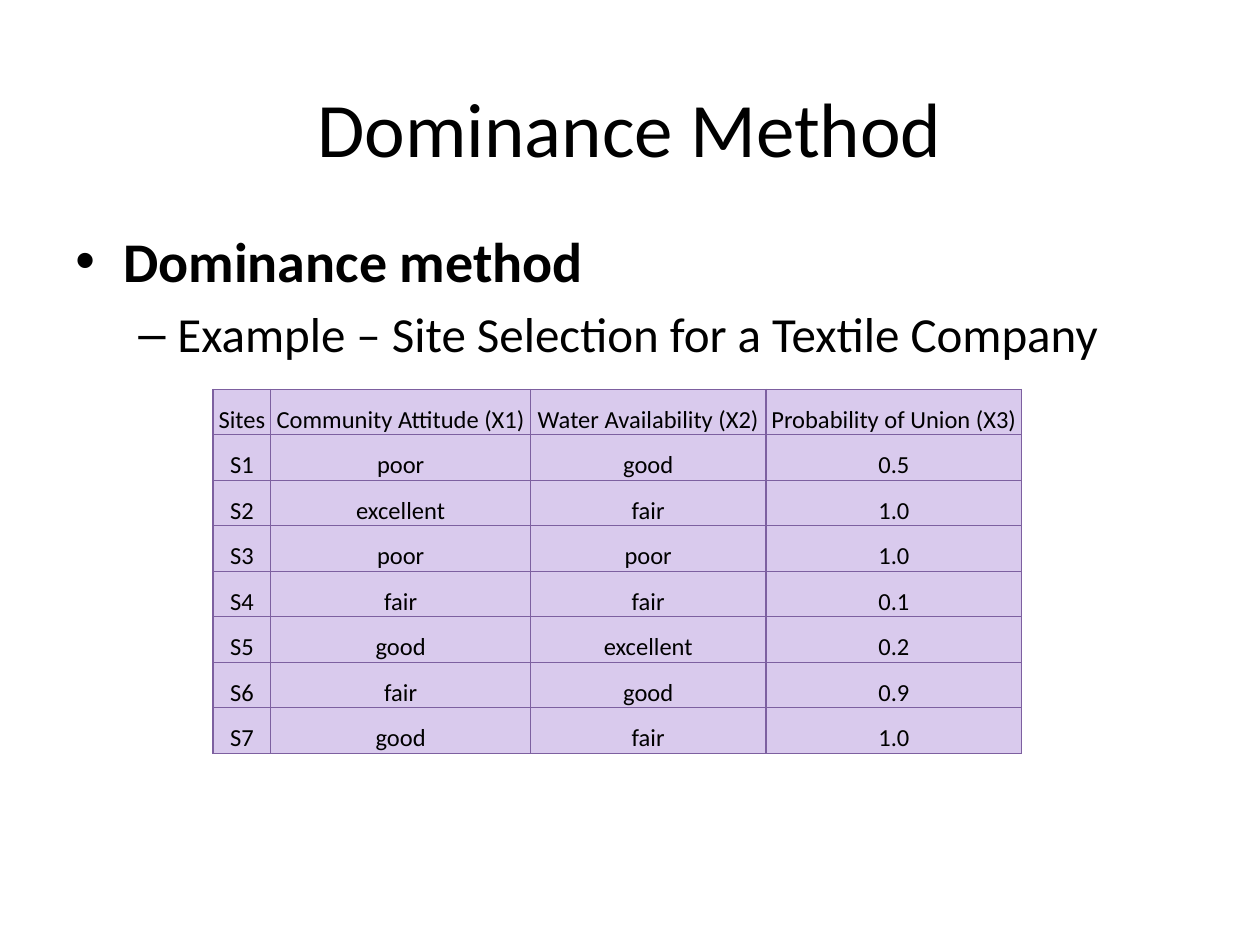
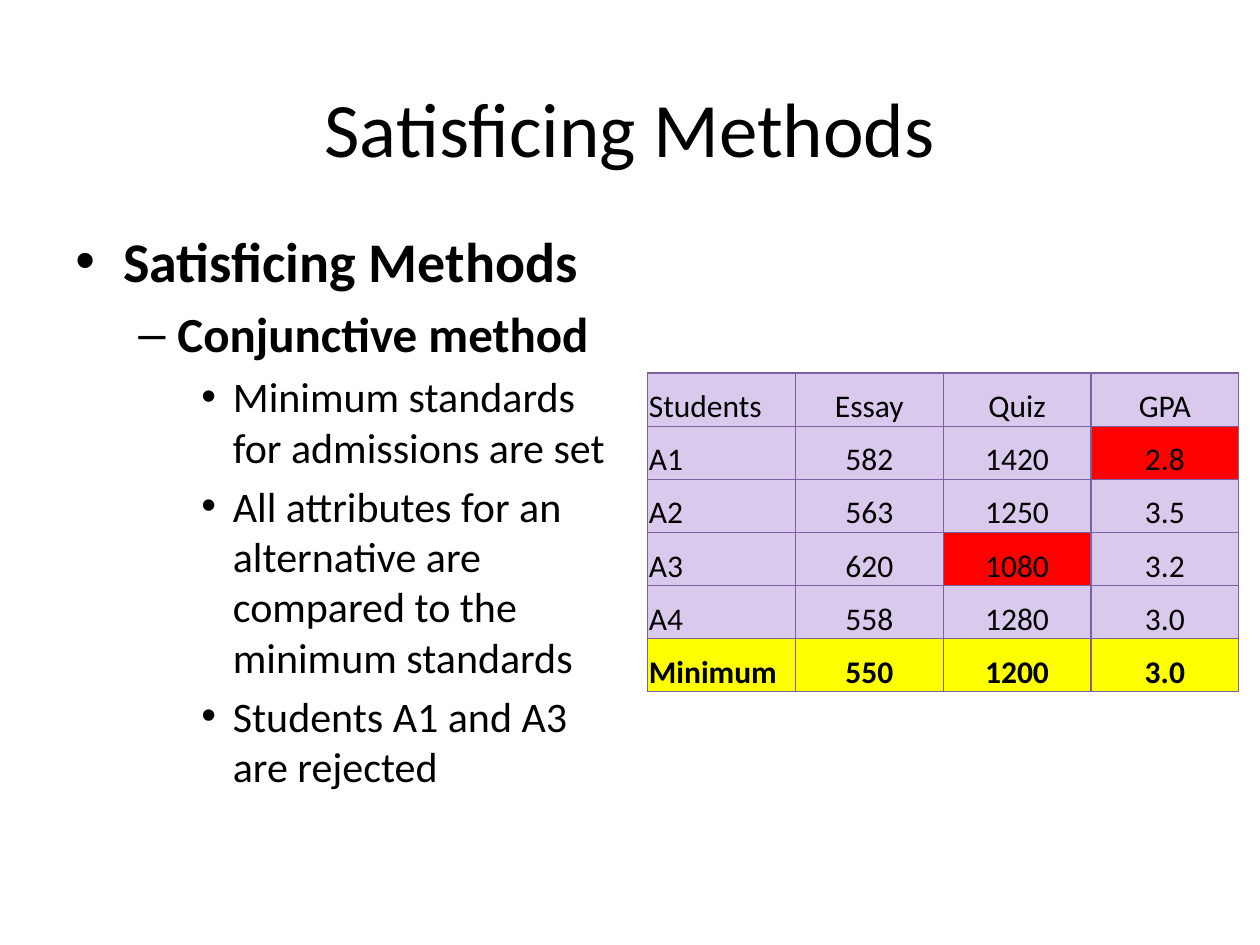
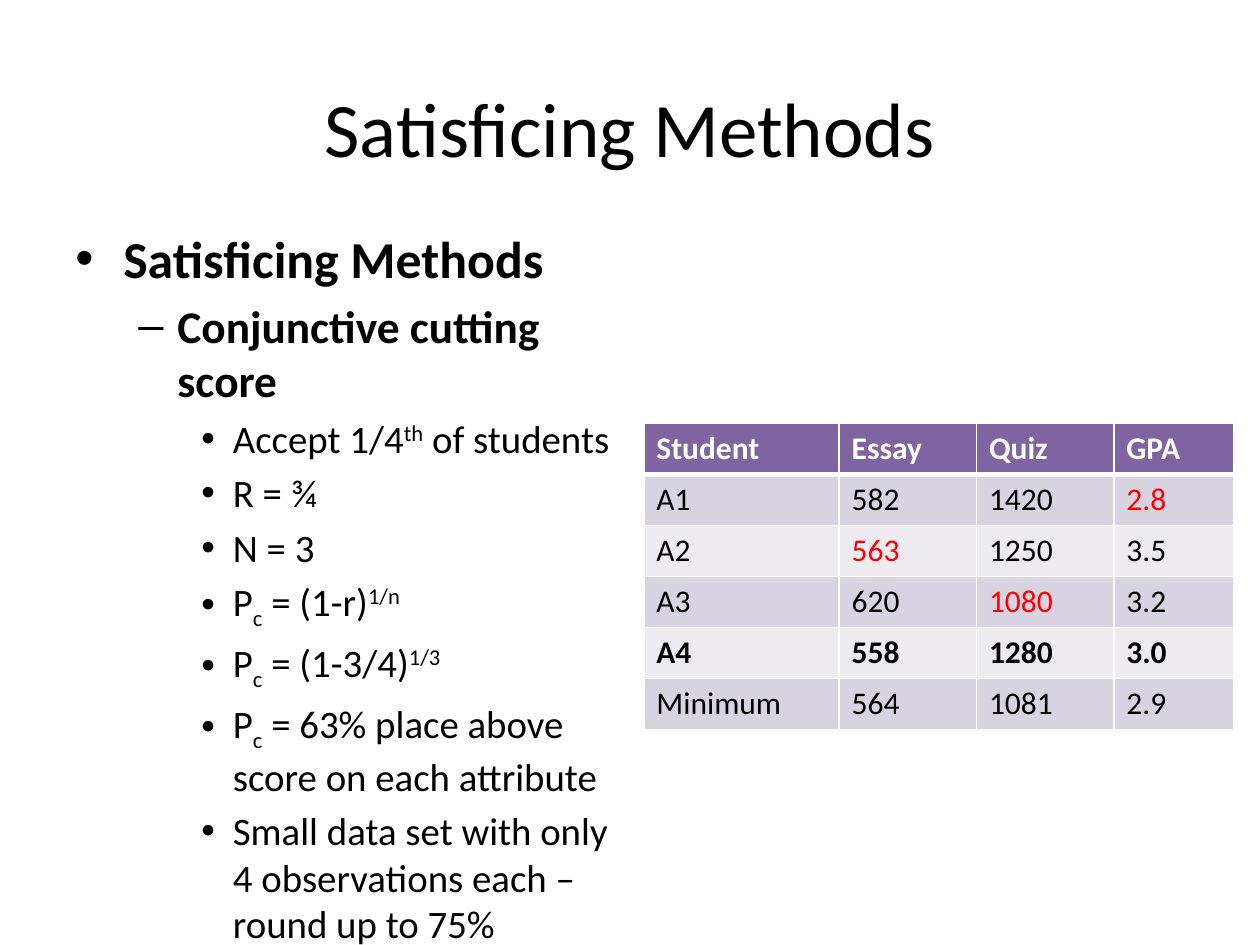
from lxml.etree import SubElement as Sub
from pptx import Presentation
from pptx.dml.color import RGBColor as RGB
from pptx.enum.text import MSO_ANCHOR as Anchor, PP_ALIGN as Align
from pptx.oxml.ns import qn
from pptx.util import Inches, Pt

COLORS = {
    "ink": "000000", "white": "FFFFFF", "lilac": "D9CAED", "rule": "7D60A0",
    "header": "8064A2", "band": "D8D3E0", "pale": "EDEAF0",
    "alert": "FF0000", "highlight": "FFFF00",
}
FONT = "Calibri"
COLS, ROWS = 100, 75
LEFT, TITLE_TOP, BODY_TOP, BODY_H = 5, 3.8, 17.5, 49.5
LEVELS = [(32, 0.38, 0.38, "•"), (28, 0.81, 0.31, "–"), (24, 1.25, 0.25, "•")]
BASELINES = {"^": "30000", "_": "-25000"}


class Deck:
    def __init__(self):
        self.prs = Presentation()
        self.prs.slide_width, self.prs.slide_height = Inches(10), Inches(7.5)
        self.slide = None

    def x(self, cols):
        return round(self.prs.slide_width * cols / COLS)

    def y(self, rows):
        return round(self.prs.slide_height * rows / ROWS)

    def box(self, left, top, width, height):
        return self.x(left), self.y(top), self.x(width), self.y(height)

    def style(self, r, size, bold=False, color="ink"):
        r.font.name, r.font.size, r.font.bold = FONT, Pt(size), bold
        r.font.color.rgb = RGB.from_string(COLORS[color])

    def text_frame(self, *box):
        tf = self.slide.shapes.add_textbox(*self.box(*box)).text_frame
        tf.word_wrap = True
        return tf

    def new_slide(self, title):
        self.slide = self.prs.slides.add_slide(self.prs.slide_layouts[6])
        tf = self.text_frame(LEFT, TITLE_TOP, 90, 12.5)
        tf.vertical_anchor = Anchor.MIDDLE
        p = tf.paragraphs[0]
        p.text, p.alignment = title, Align.CENTER
        self.style(p.runs[0], 44)

    def bullets(self, width, items, bold_levels, scale=1):
        tf = self.text_frame(LEFT, BODY_TOP, width, BODY_H)
        for i, (level, text) in enumerate(items):
            p = tf.add_paragraph() if i else tf.paragraphs[0]
            size, margin, hang, char = LEVELS[level]
            size = round(size * scale, 1)
            p.level, p.space_before = level, Pt(size * 0.2)
            pPr = p._p.get_or_add_pPr()
            pPr.set("marL", str(Inches(margin)))
            pPr.set("indent", str(-Inches(hang)))
            Sub(pPr, qn("a:buFont"), typeface="Arial")
            Sub(pPr, qn("a:buChar"), char=char)
            for part in text.split("|"):
                r = p.add_run()
                baseline = BASELINES.get(part[0])
                r.text = part[1:] if baseline else part
                self.style(r, size, level in bold_levels)
                if baseline:
                    r._r.get_or_add_rPr().set("baseline", baseline)

    def border(self, cell, side, color, width):
        ln = Sub(cell._tc.get_or_add_tcPr(), qn(f"a:ln{side}"), w=str(Pt(width)))
        Sub(Sub(ln, qn("a:solidFill")), qn("a:srgbClr"), val=COLORS[color])

    def table(self, left, top, widths, height, data, size, rule, line,
              header_line=None, tight=True, centered_from=None):
        box = self.box(left, top, sum(widths), height)
        table = self.slide.shapes.add_table(len(data), len(widths), *box).table
        table.first_row = table.horz_banding = False
        for col, width in zip(table.columns, widths):
            col.width = self.x(width)
        for i, row in enumerate(data):
            table.rows[i].height = self.y(height / len(data))
            for j, text in enumerate(row):
                cell = table.cell(i, j)
                cell.text = text
                if tight:
                    cell.margin_left = cell.margin_right = cell.margin_top = Inches(0.01)
                    cell.margin_bottom = 0
                    cell.vertical_anchor = Anchor.BOTTOM
                if centered_from is not None and j >= centered_from:
                    cell.text_frame.paragraphs[0].alignment = Align.CENTER
                self.style(cell.text_frame.paragraphs[0].runs[0], size)
                for side in "LRTB":
                    heavy = header_line and (i, side) in ((0, "B"), (1, "T"))
                    self.border(cell, side, rule, header_line if heavy else line)
                self.fill(cell, "lilac")
        return table

    def fill(self, cell, color):
        cell.fill.solid()
        cell.fill.fore_color.rgb = RGB.from_string(COLORS[color])

    def mark(self, cells, fill=None, color=None, bold=None):
        for cell in cells:
            font = cell.text_frame.paragraphs[0].runs[0].font
            if fill:
                self.fill(cell, fill)
            if color:
                font.color.rgb = RGB.from_string(COLORS[color])
            if bold:
                font.bold = True


SITES = [
    ("Sites", "Community Attitude (X1)", "Water Availability (X2)", "Probability of Union (X3)"),
    ("S1", "poor", "good", "0.5"),
    ("S2", "excellent", "fair", "1.0"),
    ("S3", "poor", "poor", "1.0"),
    ("S4", "fair", "fair", "0.1"),
    ("S5", "good", "excellent", "0.2"),
    ("S6", "fair", "good", "0.9"),
    ("S7", "good", "fair", "1.0"),
]
SCORES = ("Essay", "Quiz", "GPA")
STUDENTS = [
    ("A1", "582", "1420", "2.8"),
    ("A2", "563", "1250", "3.5"),
    ("A3", "620", "1080", "3.2"),
    ("A4", "558", "1280", "3.0"),
]


def dominance(deck):
    deck.new_slide("Dominance Method")
    deck.bullets(90, [
        (0, "Dominance method"),
        (1, "Example – Site Selection for a Textile Company"),
    ], bold_levels=(0,))
    deck.table(16.9, 30.9, (4.6, 20.6, 18.7, 20.3), 28.9, SITES, 14,
               "rule", 0.75, centered_from=0)


def conjunctive(deck):
    deck.new_slide("Satisficing Methods")
    deck.bullets(44.1, [
        (0, "Satisficing Methods"),
        (1, "Conjunctive method"),
        (2, "Minimum standards for admissions are set"),
        (2, "All attributes for an alternative are compared to the minimum standards"),
        (2, "Students A1 and A3 are rejected"),
    ], bold_levels=(0, 1))
    data = [("Students", *SCORES), *STUDENTS, ("Minimum", "550", "1200", "3.0")]
    table = deck.table(51.4, 29.6, (11.73,) * 4, 25.3, data, 18,
                       "rule", 0.75, centered_from=1)
    deck.mark([table.cell(1, 3), table.cell(3, 2)], fill="alert")
    deck.mark(table.rows[5].cells, fill="highlight", bold=True)


def cutting_score(deck):
    deck.new_slide("Satisficing Methods")
    deck.bullets(46.1, [
        (0, "Satisficing Methods"),
        (1, "Conjunctive cutting score"),
        (2, "Accept 1/4|^th| of students"),
        (2, "R = ¾"),
        (2, "N = 3"),
        (2, "P|_c| = (1-r)|^1/n"),
        (2, "P|_c| = (1-3/4)|^1/3"),
        (2, "P|_c| = 63% place above score on each attribute"),
        (2, "Small data set with only 4 observations each – round up to 75%"),
    ], bold_levels=(0, 1), scale=0.925)
    data = [("Student", *SCORES), *STUDENTS, ("Minimum", "564", "1081", "2.9")]
    table = deck.table(51.1, 33.6, (15.5, 10.9, 10.9, 9.5), 24.3, data, 18,
                       "white", 1, header_line=3, tight=False)
    for i, row in enumerate(table.rows):
        deck.mark(row.cells, fill="band" if i % 2 else "pale")
    deck.mark(table.rows[0].cells, fill="header", color="white", bold=True)
    deck.mark(table.rows[4].cells, bold=True)
    deck.mark([table.cell(1, 3), table.cell(2, 1), table.cell(3, 2)], color="alert")


def main():
    deck = Deck()
    for build in (dominance, conjunctive, cutting_score):
        build(deck)
    deck.prs.save("out.pptx")


if __name__ == "__main__":
    main()
